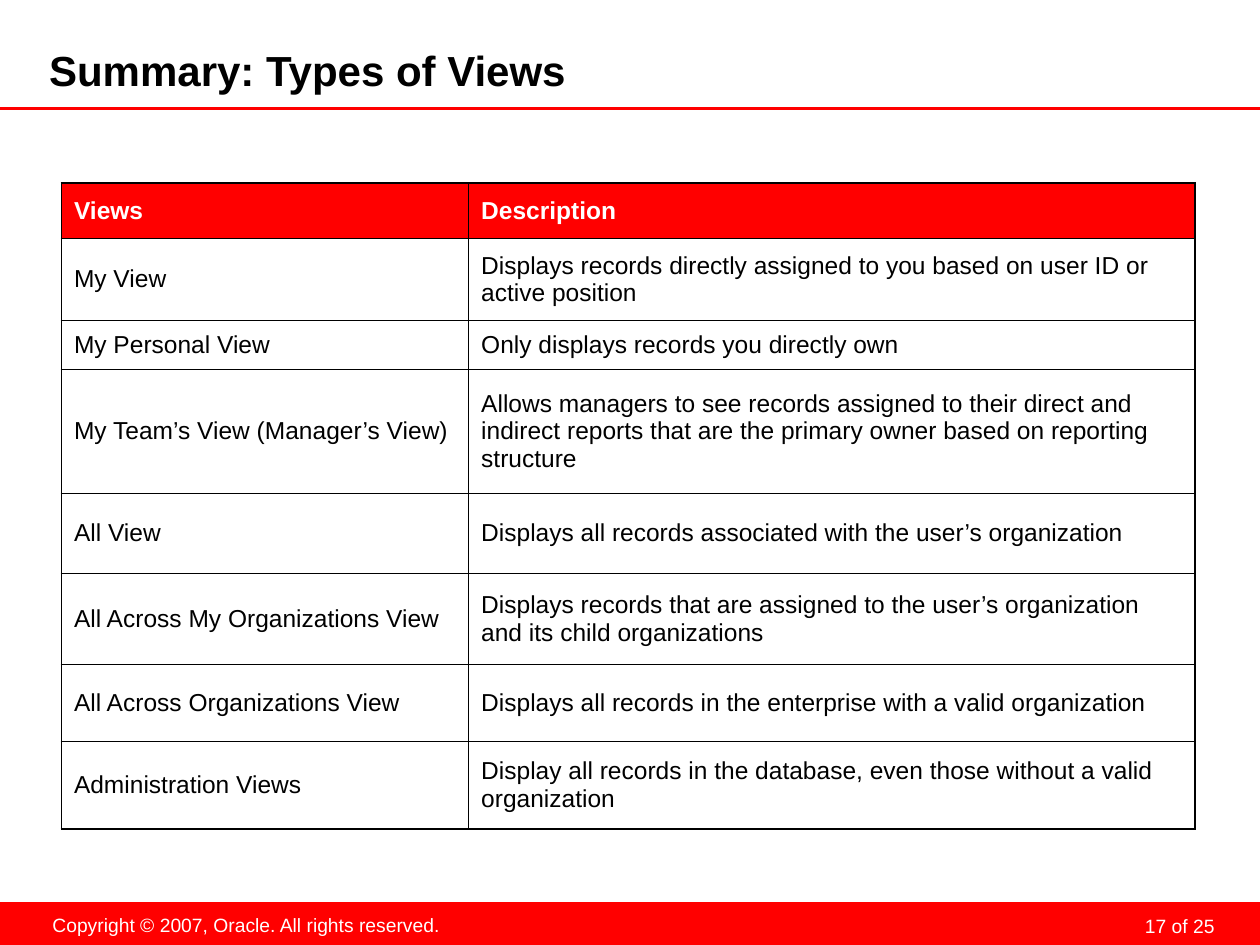
from dataclasses import dataclass, field

from lxml.etree import SubElement
from pptx import Presentation
from pptx.dml.color import RGBColor
from pptx.enum.shapes import MSO_CONNECTOR, MSO_SHAPE
from pptx.enum.text import MSO_ANCHOR, PP_ALIGN
from pptx.oxml import parse_xml
from pptx.oxml.ns import nsdecls, qn
from pptx.util import Pt

COLORS = {"red": "FF0000", "white": "FFFFFF", "black": "000000"}
FACE = "Arial"
WIDE, HIGH = 720, 540
THICK, THIN = 1.08, 0.45

HEADS = ("Views", "Description")
VIEWS = (
    ("My View", "Displays records directly assigned to you based on user ID or active position"),
    ("My Personal View", "Only displays records you directly own"),
    ("My Team’s View (Manager’s View)",
     "Allows managers to see records assigned to their direct and indirect reports "
     "that are the primary owner based on reporting structure"),
    ("All View", "Displays all records associated with the user’s organization"),
    ("All Across My Organizations View",
     "Displays records that are assigned to the user’s organization and its child organizations"),
    ("All Across Organizations View",
     "Displays all records in the enterprise with a valid organization"),
    ("Administration Views",
     "Display all records in the database, even those without a valid organization"),
)
COLS = (232.7, 414.9)
ROWS = (31.7, 46.8, 28.1, 70.6, 46.1, 51.8, 43.9, 50.4)


@dataclass
class Label:
    text: str
    box: tuple[float, float, float, float]
    size: float
    color: str
    inset: tuple[float, float, float, float]
    bold: bool = False
    frame: dict = field(default_factory=dict)
    para: dict = field(default_factory=dict)


LABELS = (
    Label("17 of 25", (529.9, 517.7, 167.8, 18), 11, "white", (3.6, 0, 3.6, 0),
          para={"alignment": PP_ALIGN.RIGHT, "line_spacing": Pt(18)}),
    Label("Copyright © 2007, Oracle. All rights reserved.", (22.3, 518.4, 236.9, 20.9),
          11, "white", (7.2, 3.6, 7.2, 3.6),
          frame={"word_wrap": False}, para={"alignment": PP_ALIGN.CENTER}),
    Label("Summary: Types of Views", (28.1, 27.4, 566.6, 28.8), 24, "black",
          (0, 0, 3.6, 3.6), bold=True, frame={"vertical_anchor": MSO_ANCHOR.MIDDLE}),
)


def tint(name: str) -> RGBColor:
    return RGBColor.from_string(COLORS[name])


def apply(item, values: dict) -> None:
    for key, value in values.items():
        setattr(item, key, value)


def style(font, size: float, color: str, bold: bool) -> None:
    apply(font, {"name": FACE, "size": Pt(size), "bold": bold})
    font.color.rgb = tint(color)


def write(slide, label: Label) -> None:
    frame = slide.shapes.add_textbox(*map(Pt, label.box)).text_frame
    sides = ("margin_left", "margin_top", "margin_right", "margin_bottom")
    apply(frame, {"word_wrap": True, **dict(zip(sides, map(Pt, label.inset))), **label.frame})
    para = frame.paragraphs[0]
    apply(para, label.para)
    run = para.add_run()
    run.text = label.text
    style(run.font, label.size, label.color, label.bold)


def edge(cell, widths: dict[str, float]) -> None:
    props = cell._tc.get_or_add_tcPr()
    for spot, (side, width) in enumerate(widths.items()):
        props.insert(spot, parse_xml(
            f'<a:ln{side} {nsdecls("a")} w="{Pt(width)}"><a:solidFill>'
            f'<a:srgbClr val="{COLORS["black"]}"/></a:solidFill></a:ln{side}>'))


def fill_cell(cell, text: str, head: bool) -> None:
    cell.text = text
    cell.vertical_anchor = MSO_ANCHOR.MIDDLE
    cell.fill.solid()
    cell.fill.fore_color.rgb = tint("red" if head else "white")
    font = cell.text_frame.paragraphs[0].runs[0].font
    style(font, 14, "white" if head else "black", head)


def draw_table(slide) -> None:
    box = map(Pt, (35.1, 104.5, sum(COLS), sum(ROWS)))
    table = slide.shapes.add_table(len(ROWS), len(COLS), *box).table
    for col, width in zip(table.columns, COLS):
        col.width = Pt(width)
    last, end = len(ROWS) - 1, len(COLS) - 1
    for r, texts in enumerate((HEADS, *VIEWS)):
        table.rows[r].height = Pt(ROWS[r])
        for c, text in enumerate(texts):
            cell = table.cell(r, c)
            fill_cell(cell, text, r == 0)
            outer = {"L": c == 0, "R": c == end, "T": r == 0, "B": r == last}
            edge(cell, {side: THICK if out else THIN for side, out in outer.items()})


def main() -> None:
    deck = Presentation()
    apply(deck, {"slide_width": Pt(WIDE), "slide_height": Pt(HIGH)})
    slide = deck.slides.add_slide(deck.slide_layouts[6])

    # Footer band
    band = slide.shapes.add_shape(MSO_SHAPE.RECTANGLE, 0, Pt(515.5), Pt(WIDE), Pt(24.5))
    band.shadow.inherit = False
    band.fill.solid()
    band.fill.fore_color.rgb = tint("red")
    band.line.fill.background()

    # Rule under the title
    rule = slide.shapes.add_connector(MSO_CONNECTOR.STRAIGHT, 0, Pt(62), Pt(WIDE), Pt(62))
    rule.line.color.rgb = tint("red")
    rule.line.width = Pt(1.75)
    SubElement(rule._element.spPr, qn("a:effectLst"))

    # Footer texts and title
    for label in LABELS:
        write(slide, label)

    # Table of views
    draw_table(slide)
    deck.save("out.pptx")


if __name__ == "__main__":
    main()
